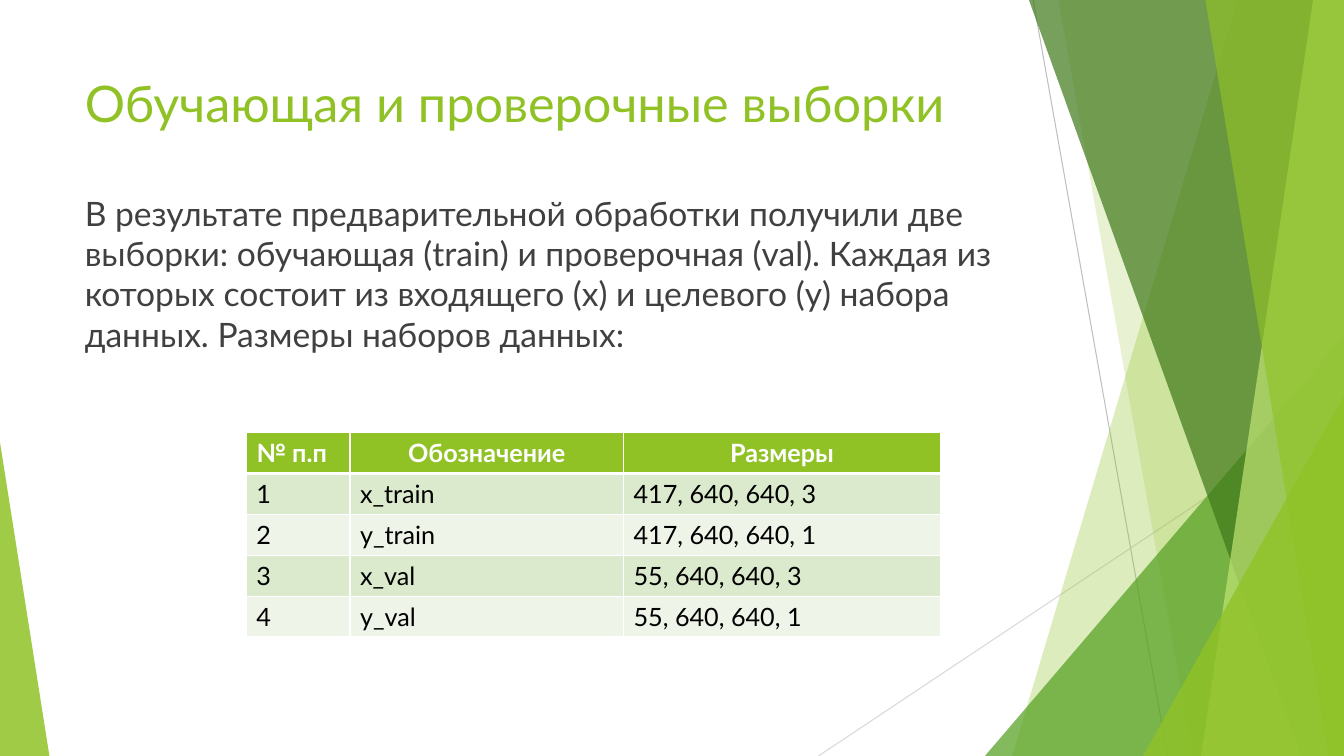
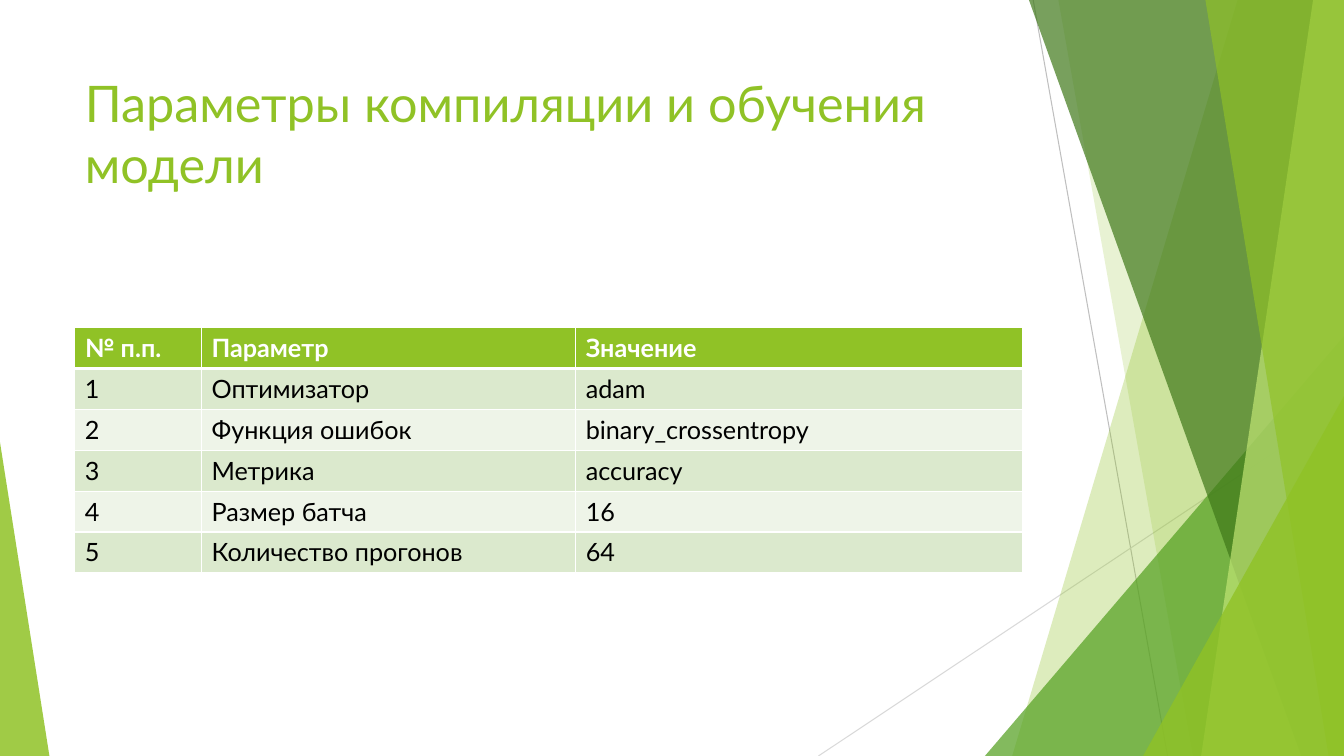
from lxml import etree
from pptx import Presentation
from pptx.dml.color import RGBColor
from pptx.enum.shapes import MSO_CONNECTOR, MSO_SHAPE
from pptx.enum.text import MSO_ANCHOR, PP_ALIGN
from pptx.oxml.ns import qn
from pptx.util import Pt

WIDTH, HEIGHT = 960, 540
FONT = "Lato"
COLORS = {
    "lime": "90C226", "green": "54A021", "forest": "3F7819", "pale": "C0E474",
    "white": "FFFFFF", "black": "000000", "body": "404040",
    "row_odd": "DBE9CD", "row_even": "EEF4E8",
    "ray_dark": "BFBFBF", "ray_light": "D9D9D9",
}

# Content
SLIDES = [
    {
        "title": "Обучающая и проверочные выборки",
        "body": "В результате предварительной обработки получили две выборки: "
                "обучающая (train) и проверочная (val). Каждая из которых состоит "
                "из входящего (x) и целевого (y) набора данных. "
                "Размеры наборов данных:",
        "table": {
            "at": (176, 309), "columns": (74, 195.4, 226.4),
            "header_align": (PP_ALIGN.LEFT, PP_ALIGN.CENTER, PP_ALIGN.CENTER),
            "rows": [
                ("№ п.п", "Обозначение", "Размеры"),
                ("1", "x_train", "417, 640, 640, 3"),
                ("2", "y_train", "417, 640, 640, 1"),
                ("3", "x_val", "55, 640, 640, 3"),
                ("4", "y_val", "55, 640, 640, 1"),
            ],
        },
    },
    {
        "title": "Параметры компиляции и обучения модели",
        "table": {
            "at": (53.5, 234), "columns": (90.5, 267.3, 319),
            "header_align": (PP_ALIGN.LEFT,) * 3,
            "rows": [
                ("№ п.п.", "Параметр", "Значение"),
                ("1", "Оптимизатор", "adam"),
                ("2", "Функция ошибок", "binary_crossentropy"),
                ("3", "Метрика", "accuracy"),
                ("4", "Размер батча", "16"),
                ("5", "Количество прогонов", "64"),
            ],
        },
    },
]

# Shared layout and decoration, from back to front
TITLE_BOX = (53.5, 48, 676.8, 104)
BODY_BOX = (53.5, 134, 676.8, 121)
ROW_HEIGHT = 29.2
RAYS = [  # start, end, colour
    ((738, 0), (834, HEIGHT), "ray_dark"),
    ((WIDTH, 290), (584.6, HEIGHT), "ray_light"),
]
FACETS = [  # corners, colour, opacity in percent
    *[([(top, 0), (WIDTH, 0), (WIDTH, HEIGHT), (bottom, HEIGHT)], color, opacity)
      for top, bottom, color, opacity in [(884, 723, "lime", 30),
                                          (756, 852, "lime", 20)]],
    ([(WIDTH, 240), (WIDTH, HEIGHT), (703.5, HEIGHT)], "green", 72),
    *[([(top, 0), (WIDTH, 0), (WIDTH, HEIGHT), (bottom, HEIGHT)], color, opacity)
      for top, bottom, color, opacity in [(735, 929.5, "forest", 70),
                                          (938, 858, "pale", 70),
                                          (861, 949, "lime", 65)]],
]
CORNERS = [  # left, top, width, apex position, opacity in percent
    (816.5, 283, 143.5, 1, 80),
    (0, 316, 35.3, 0, 85),
]


def rgb(name):
    return RGBColor.from_string(COLORS[name])


def write(frame, text, size=18, color="black", bold=False,
          align=PP_ALIGN.LEFT, space_before=0):
    frame.word_wrap = True
    paragraph = frame.paragraphs[0]
    paragraph.alignment = align
    paragraph.space_before = Pt(space_before)
    run = paragraph.add_run()
    run.text = text
    run.font.name, run.font.size, run.font.bold = FONT, Pt(size), bold
    run.font.color.rgb = rgb(color)


def add_text(slide, box, text, **style):
    frame = slide.shapes.add_textbox(*map(Pt, box)).text_frame
    frame.vertical_anchor = MSO_ANCHOR.TOP
    write(frame, text, **style)


def paint(shape, color, opacity):
    shape.shadow.inherit = False
    shape.line.fill.background()
    shape.fill.solid()
    shape.fill.fore_color.rgb = rgb(color)
    tint = next(shape.fill._xPr.iter(qn("a:srgbClr")))
    etree.SubElement(tint, qn("a:alpha"), val=str(opacity * 1000))


def add_backdrop(slide):
    for start, end, color in RAYS:
        ray = slide.shapes.add_connector(MSO_CONNECTOR.STRAIGHT,
                                         *map(Pt, start + end))
        ray.line.color.rgb = rgb(color)
        ray.line.width = Pt(0.75)
        etree.SubElement(ray._element.spPr, qn("a:effectLst"))
    for corners, color, opacity in FACETS:
        points = [(Pt(x), Pt(y)) for x, y in corners]
        outline = slide.shapes.build_freeform(*points[0])
        outline.add_line_segments(points[1:], close=True)
        paint(outline.convert_to_shape(), color, opacity)
    for left, top, width, apex, opacity in CORNERS:
        corner = slide.shapes.add_shape(MSO_SHAPE.ISOSCELES_TRIANGLE, Pt(left),
                                        Pt(top), Pt(width), Pt(HEIGHT - top))
        corner.adjustments[0] = apex
        paint(corner, "lime", opacity)


def add_borders(cell, top, bottom):
    properties = cell._tc.get_or_add_tcPr()
    sides = [("lnL", 1), ("lnR", 1), ("lnT", top), ("lnB", bottom)]
    for position, (side, width) in enumerate(sides):
        border = etree.Element(qn(f"a:{side}"), w=str(Pt(width)))
        fill = etree.SubElement(border, qn("a:solidFill"))
        etree.SubElement(fill, qn("a:srgbClr"), val=COLORS["white"])
        properties.insert(position, border)


def add_grid(slide, at, columns, header_align, rows):
    size = (sum(columns), ROW_HEIGHT * len(rows))
    grid = slide.shapes.add_table(len(rows), len(columns),
                                  *map(Pt, at + size)).table
    for column, width in zip(grid.columns, columns):
        column.width = Pt(width)
    for r, values in enumerate(rows):
        grid.rows[r].height = Pt(ROW_HEIGHT)
        header = r == 0
        fill = "lime" if header else "row_odd" if r % 2 else "row_even"
        for c, value in enumerate(values):
            cell = grid.cell(r, c)
            cell.fill.solid()
            cell.fill.fore_color.rgb = rgb(fill)
            add_borders(cell, top=3 if r == 1 else 1, bottom=3 if header else 1)
            write(cell.text_frame, value, bold=header,
                  color="white" if header else "black",
                  align=header_align[c] if header else PP_ALIGN.LEFT)


def main():
    deck = Presentation()
    deck.slide_width, deck.slide_height = Pt(WIDTH), Pt(HEIGHT)
    for content in SLIDES:
        slide = deck.slides.add_slide(deck.slide_layouts[6])
        add_backdrop(slide)
        add_text(slide, TITLE_BOX, content["title"], size=36, color="lime")
        if "body" in content:
            add_text(slide, BODY_BOX, content["body"], size=24, color="body",
                     space_before=10)
        add_grid(slide, **content["table"])
    deck.save("out.pptx")


if __name__ == "__main__":
    main()
